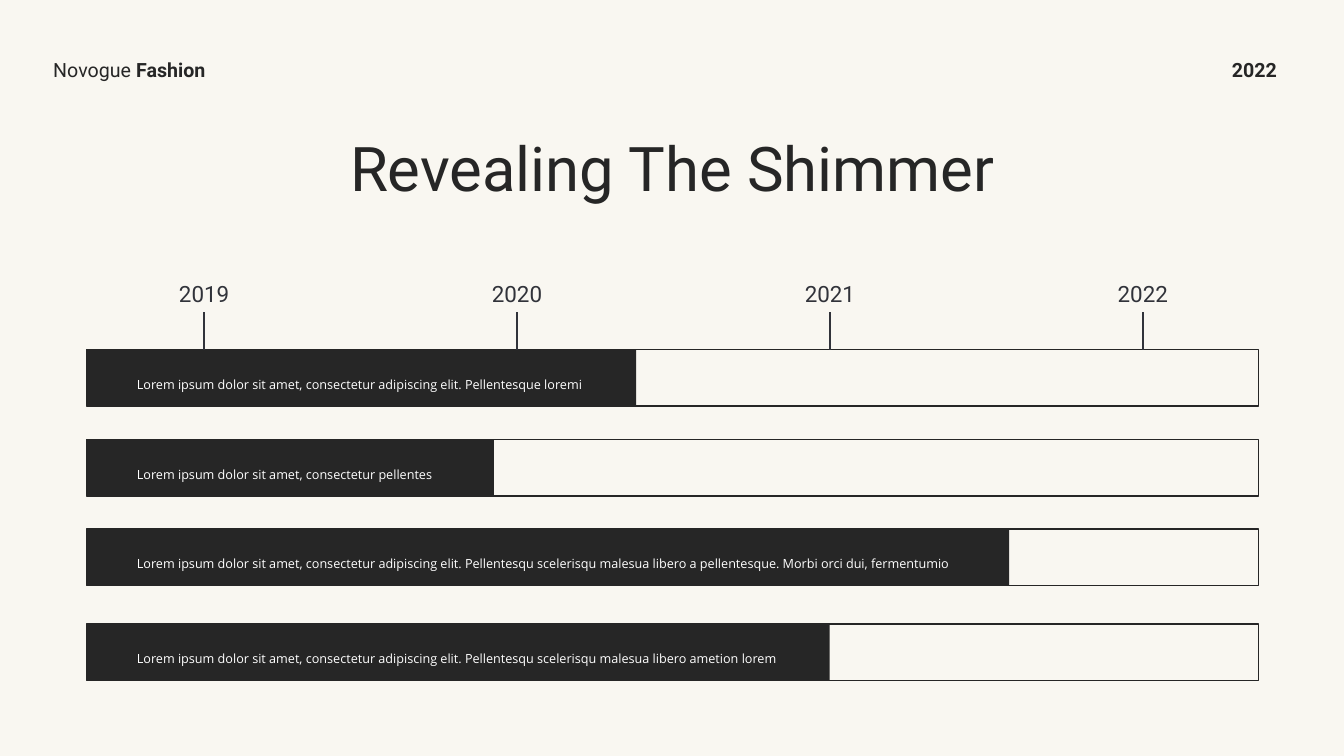
import pptx
import pptx.dml.color
import pptx.enum.shapes
import pptx.enum.text
import pptx.oxml.ns
import pptx.util
from dataclasses import dataclass
from lxml import etree

Inches = pptx.util.Inches
Pt = pptx.util.Pt
ALIGN = pptx.enum.text.PP_ALIGN


@dataclass(frozen=True)
class Theme:
    paper: str = "F9F7F1"
    ink: str = "262626"
    slate: str = "31333A"
    white: str = "FFFFFF"
    heading_font: str = "Roboto"
    body_font: str = "Open Sans"
    title_size: float = 44
    year_size: float = 16
    header_size: float = 14
    body_size: float = 9
    outline: float = 1
    tick: float = 1.75


def rgb(value):
    return pptx.dml.color.RGBColor.from_string(value)


class TimelineSlide:
    def __init__(self, deck, theme):
        self.theme = theme
        self.slide = deck.slides.add_slide(deck.slide_layouts[6])
        background = self.slide.background.fill
        background.solid()
        background.fore_color.rgb = rgb(theme.paper)

    def bar(self, left, top, width, height, fill=None, line=None):
        bar = self.slide.shapes.add_shape(
            pptx.enum.shapes.MSO_SHAPE.RECTANGLE,
            Inches(left), Inches(top), Inches(width), Inches(height))
        bar.shadow.inherit = False
        if fill:
            bar.fill.solid()
            bar.fill.fore_color.rgb = rgb(fill)
        else:
            bar.fill.background()
        if line:
            bar.line.color.rgb = rgb(line)
            bar.line.width = Pt(self.theme.outline)
        else:
            bar.line.fill.background()
        return bar

    def text(self, left, top, width, height, runs, size, color, font=None,
             align=ALIGN.LEFT, spacing=None, wrap=True):
        """Each run is a (wording, bold) pair."""
        box = self.slide.shapes.add_textbox(
            Inches(left), Inches(top), Inches(width), Inches(height))
        frame = box.text_frame
        frame.word_wrap = wrap
        frame.auto_size = pptx.enum.text.MSO_AUTO_SIZE.SHAPE_TO_FIT_TEXT
        paragraph = frame.paragraphs[0]
        paragraph.alignment = align
        if spacing:
            paragraph.line_spacing = spacing
        for wording, bold in runs:
            run = paragraph.add_run()
            run.text = wording
            run.font.name = font or self.theme.heading_font
            run.font.size = Pt(size)
            run.font.bold = bold
            run.font.color.rgb = rgb(color)
        return box

    def tick(self, year_label, x, top, bottom):
        tick = self.slide.shapes.add_connector(
            pptx.enum.shapes.MSO_CONNECTOR.STRAIGHT,
            Inches(x), Inches(top), Inches(x), Inches(bottom))
        tick.begin_connect(year_label, 2)
        tick.end_x = tick.begin_x
        tick.line.color.rgb = rgb(self.theme.slate)
        tick.line.width = Pt(self.theme.tick)
        etree.SubElement(tick._element.spPr, pptx.oxml.ns.qn("a:effectLst"))


# Top, filled width, caption width, caption
PHASES = [
    (3.47, 5.45, 4.64, "Lorem ipsum dolor sit amet, consectetur adipiscing elit. "
                       "Pellentesque loremi"),
    (4.36, 4.04, 3.22, "Lorem ipsum dolor sit amet, consectetur pellentes"),
    (5.25, 9.15, 8.25, "Lorem ipsum dolor sit amet, consectetur adipiscing elit. "
                       "Pellentesqu scelerisqu malesua libero a pellentesque. "
                       "Morbi orci dui, fermentumio"),
    (6.19, 7.37, 6.57, "Lorem ipsum dolor sit amet, consectetur adipiscing elit. "
                       "Pellentesqu scelerisqu malesua libero ametion lorem"),
]
YEARS = ["2019", "2020", "2021", "2022"]


def main():
    deck = pptx.Presentation()
    deck.slide_width, deck.slide_height = Inches(13.33), Inches(7.5)
    theme = Theme()
    page = TimelineSlide(deck, theme)

    # Header and title
    page.text(0.43, 0.53, 1.83, 0.34, [("Novogue ", False), ("Fashion", True)],
              theme.header_size, theme.ink, wrap=False)
    page.text(12.12, 0.53, 0.68, 0.34, [("2022", True)],
              theme.header_size, theme.ink, wrap=False)
    page.text(2.18, 1.24, 8.98, 0.84, [("Revealing The Shimmer", False)],
              theme.title_size, theme.ink, align=ALIGN.CENTER)

    # Progress bars with captions
    bar_left, bar_width, bar_height = 0.86, 11.62, 0.56
    for top, filled, caption_width, caption in PHASES:
        page.bar(bar_left, top, bar_width, bar_height, line=theme.ink)
        page.bar(bar_left, top, filled, bar_height, fill=theme.ink)
        page.text(1.26, top + 0.07, caption_width, 0.36, [(caption, False)],
                  theme.body_size, theme.white, theme.body_font, spacing=2.0)

    # Year labels and ticks down to the first bar
    year_top, year_width, year_height, year_step = 2.73, 1.53, 0.37, 3.1033
    for index, year in enumerate(YEARS):
        left = 1.26 + index * year_step
        label = page.text(left, year_top, year_width, year_height, [(year, False)],
                          theme.year_size, theme.slate, align=ALIGN.CENTER)
        page.tick(label, left + year_width / 2, year_top + year_height, PHASES[0][0])

    deck.save("out.pptx")


if __name__ == "__main__":
    main()
